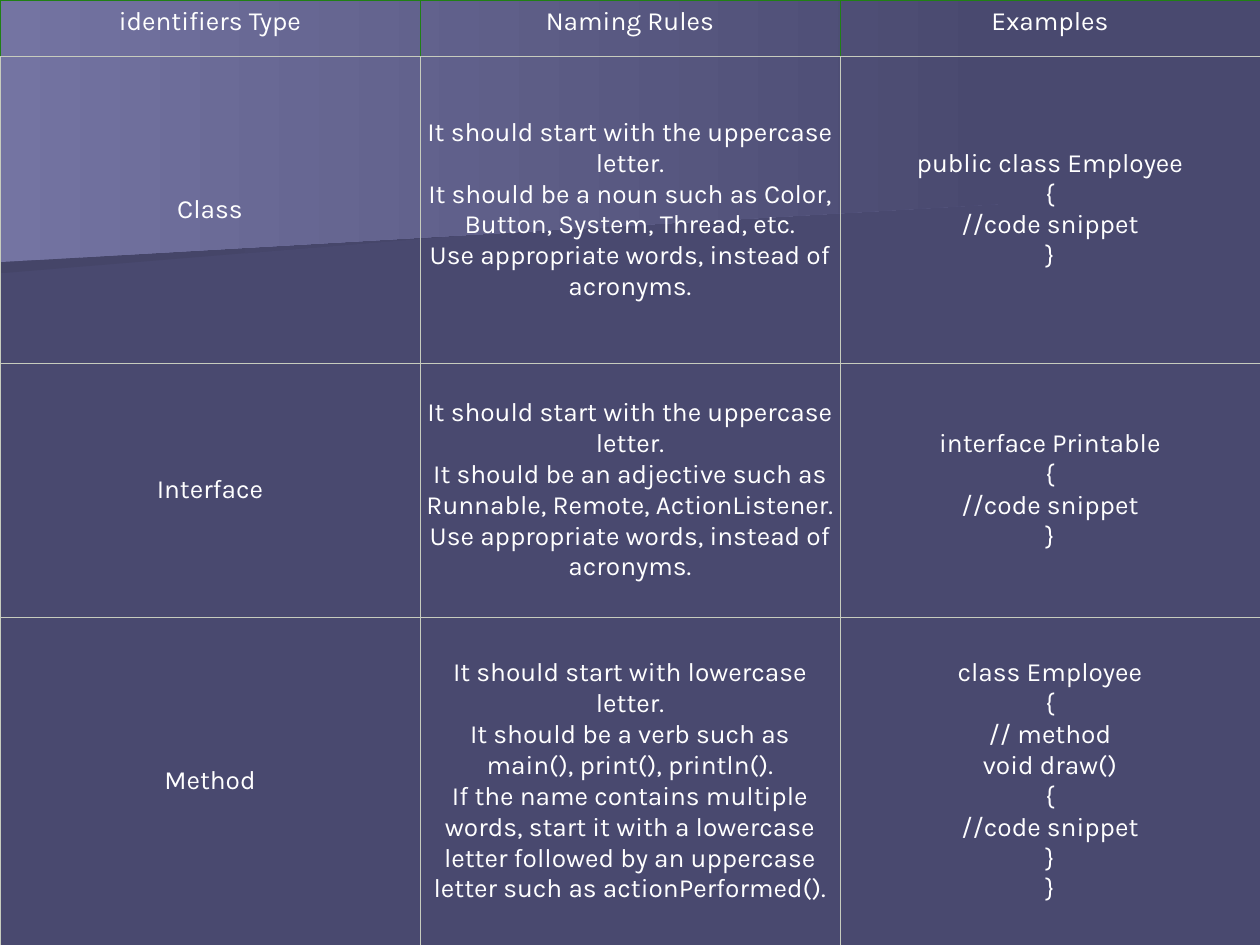
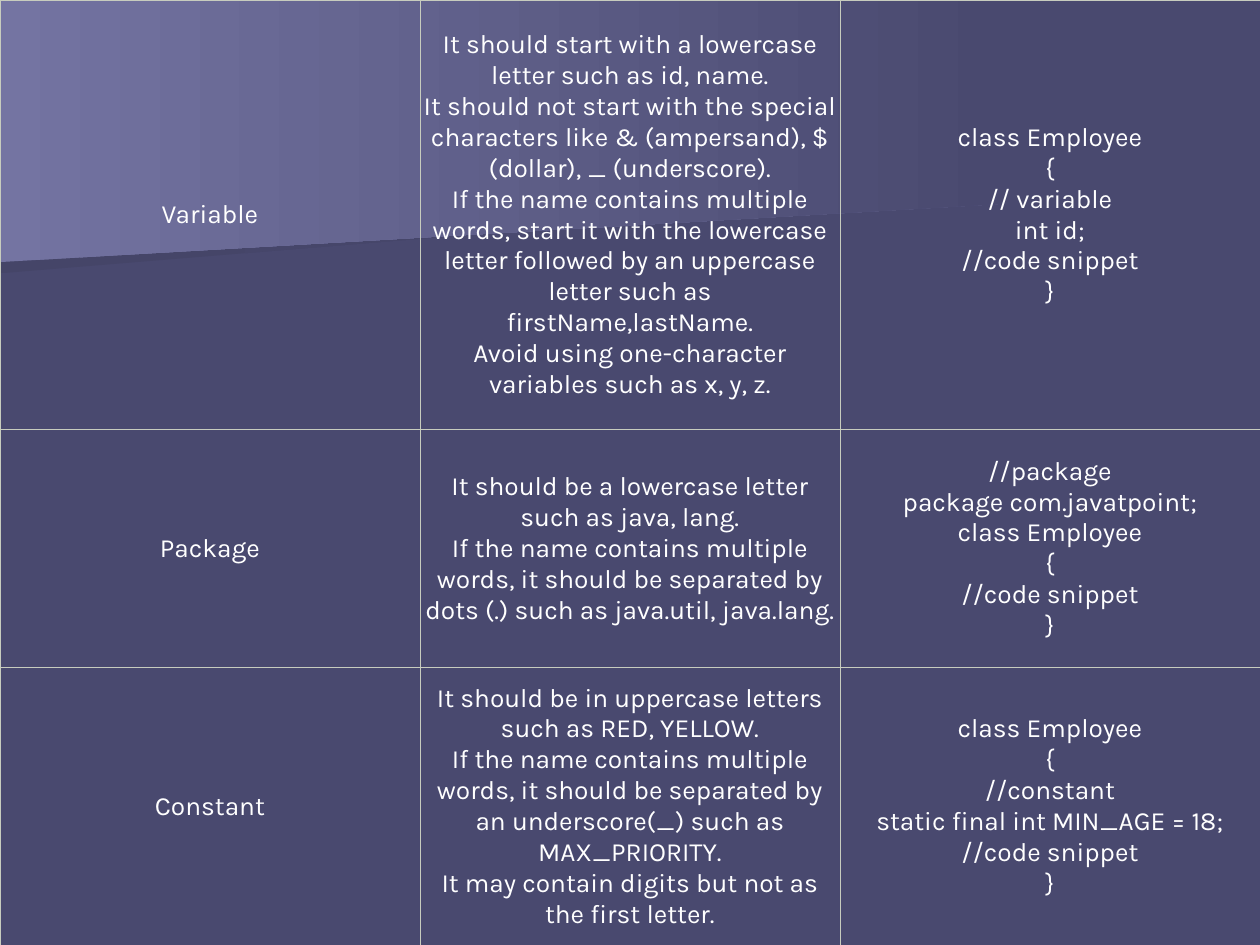
from dataclasses import dataclass

from lxml.etree import SubElement
from pptx import Presentation
from pptx.dml.color import RGBColor as Rgb
from pptx.enum.text import MSO_ANCHOR as Anchor, PP_ALIGN as Align
from pptx.oxml.ns import qn
from pptx.util import Inches, Pt


@dataclass(frozen=True)
class Theme:
    font: str = "Karla"
    text_size: float = 15
    text: str = "FFFFFF"
    background: str = "49496F"
    band: str = "7474A2"
    band_shadow: str = "454568"
    grid: str = "C7CCBE"
    header_grid: str = "208014"
    grid_width: float = 0.34


THEME = Theme()
SLIDE_WIDTH, SLIDE_HEIGHT = 10, 7.5
BAND_SHADOW = [(7.78, 1.53), (0, 2.17), (0, 1.01), (7.79, 1.01)]
BAND = [(7.92, 1.62), (0, 2.08), (0, 0), (7.92, 0)]

HEADER = ("identifiers Type", "Naming Rules", "Examples")

TYPE_ROWS = [
    ("Class",
     """It should start with the uppercase letter.
It should be a noun such as Color, Button, System, Thread, etc.
Use appropriate words, instead of acronyms.""",
     """public class Employee
{
//code snippet
}"""),
    ("Interface",
     """It should start with the uppercase letter.
It should be an adjective such as Runnable, Remote, ActionListener.
Use appropriate words, instead of acronyms.""",
     """interface Printable
{
//code snippet
}"""),
    ("Method",
     """It should start with lowercase letter.
It should be a verb such as main(), print(), println().
If the name contains multiple words, start it with a lowercase letter \
followed by an uppercase letter such as actionPerformed().""",
     """class Employee
{
// method
void draw()
{
//code snippet
}
}"""),
]

MEMBER_ROWS = [
    ("Variable",
     """It should start with a lowercase letter such as id, name.
It should not start with the special characters like & (ampersand), \
$ (dollar), _ (underscore).
If the name contains multiple words, start it with the lowercase letter \
followed by an uppercase letter such as firstName,lastName.
Avoid using one-character variables such as x, y, z.""",
     """class Employee
{
// variable
int id;
//code snippet
}"""),
    ("Package",
     """It should be a lowercase letter such as java, lang.
If the name contains multiple words, it should be separated by dots (.) \
such as java.util, java.lang.""",
     """//package
package com.javatpoint;
class Employee
{
//code snippet
}"""),
    ("Constant",
     """It should be in uppercase letters such as RED, YELLOW.
If the name contains multiple words, it should be separated by \
an underscore(_) such as MAX_PRIORITY.
It may contain digits but not as the first letter.""",
     """class Employee
{
//constant
static final int MIN_AGE = 18;
//code snippet
}"""),
]


def add_band(slide, points, color):
    """Draw an outline that fades from color to the background, left to right."""
    corners = [(Inches(x), Inches(y)) for x, y in points]
    builder = slide.shapes.build_freeform(*corners[0])
    builder.add_line_segments(corners[1:], close=True)
    band = builder.convert_to_shape()
    band.shadow.inherit = False
    band.line.fill.background()
    band.fill.gradient()
    band.fill.gradient_angle = 0
    for stop, stop_color in zip(band.fill.gradient_stops, (color, THEME.background)):
        stop.color.rgb = Rgb.from_string(stop_color)


def write_text(frame, text, size=THEME.text_size, color=THEME.text, align=Align.CENTER):
    """Write each line of text as a paragraph."""
    for index, line in enumerate(text.split("\n")):
        para = frame.add_paragraph() if index else frame.paragraphs[0]
        para.alignment = align
        span = para.add_run()
        span.text = line
        span.font.name = THEME.font
        span.font.size = Pt(size)
        span.font.color.rgb = Rgb.from_string(color)


def set_borders(cell, color, bottom_color):
    properties = cell._tc.get_or_add_tcPr()
    for side in ("lnL", "lnR", "lnT", "lnB"):
        line = SubElement(properties, qn(f"a:{side}"), w=str(Pt(THEME.grid_width)))
        fill = SubElement(line, qn("a:solidFill"))
        SubElement(fill, qn("a:srgbClr"), val=bottom_color if side == "lnB" else color)


def format_cell(cell, text, inset, anchor=Anchor.MIDDLE, border=THEME.grid):
    cell.margin_left = cell.margin_right = Inches(inset)
    cell.margin_top = cell.margin_bottom = Inches(0.05)
    cell.vertical_anchor = anchor
    set_borders(cell, border, THEME.grid)
    cell.fill.background()
    write_text(cell.text_frame, text)


def add_rules_table(slide, rows, heights, inset, header=None):
    all_rows = ([header] if header else []) + rows
    table = slide.shapes.add_table(
        len(all_rows), len(HEADER), 0, 0, Inches(SLIDE_WIDTH), Inches(SLIDE_HEIGHT)
    ).table
    table.first_row = table.horz_banding = False
    for column in table.columns:
        column.width = Inches(SLIDE_WIDTH / len(HEADER))
    for row, height, texts in zip(table.rows, heights, all_rows):
        row.height = Inches(height)
        for cell, text in zip(row.cells, texts):
            if texts is header:
                format_cell(cell, text, 0.04, Anchor.TOP, THEME.header_grid)
            else:
                format_cell(cell, text, inset)


def add_rules_slide(deck, rows, heights, inset, header=None):
    slide = deck.slides.add_slide(deck.slide_layouts.get_by_name("Blank"))
    add_band(slide, BAND_SHADOW, THEME.band_shadow)
    add_band(slide, BAND, THEME.band)
    add_rules_table(slide, rows, heights, inset, header)


def main():
    deck = Presentation()
    deck.slide_width, deck.slide_height = Inches(SLIDE_WIDTH), Inches(SLIDE_HEIGHT)
    backdrop = deck.slide_master.background.fill
    backdrop.solid()
    backdrop.fore_color.rgb = Rgb.from_string(THEME.background)
    add_rules_slide(deck, TYPE_ROWS, (0.45, 2.43, 2.02, 2.6), 0.03, header=HEADER)
    add_rules_slide(deck, MEMBER_ROWS, (3.41, 1.89, 2.2), 0.02)
    deck.save("out.pptx")


if __name__ == "__main__":
    main()
